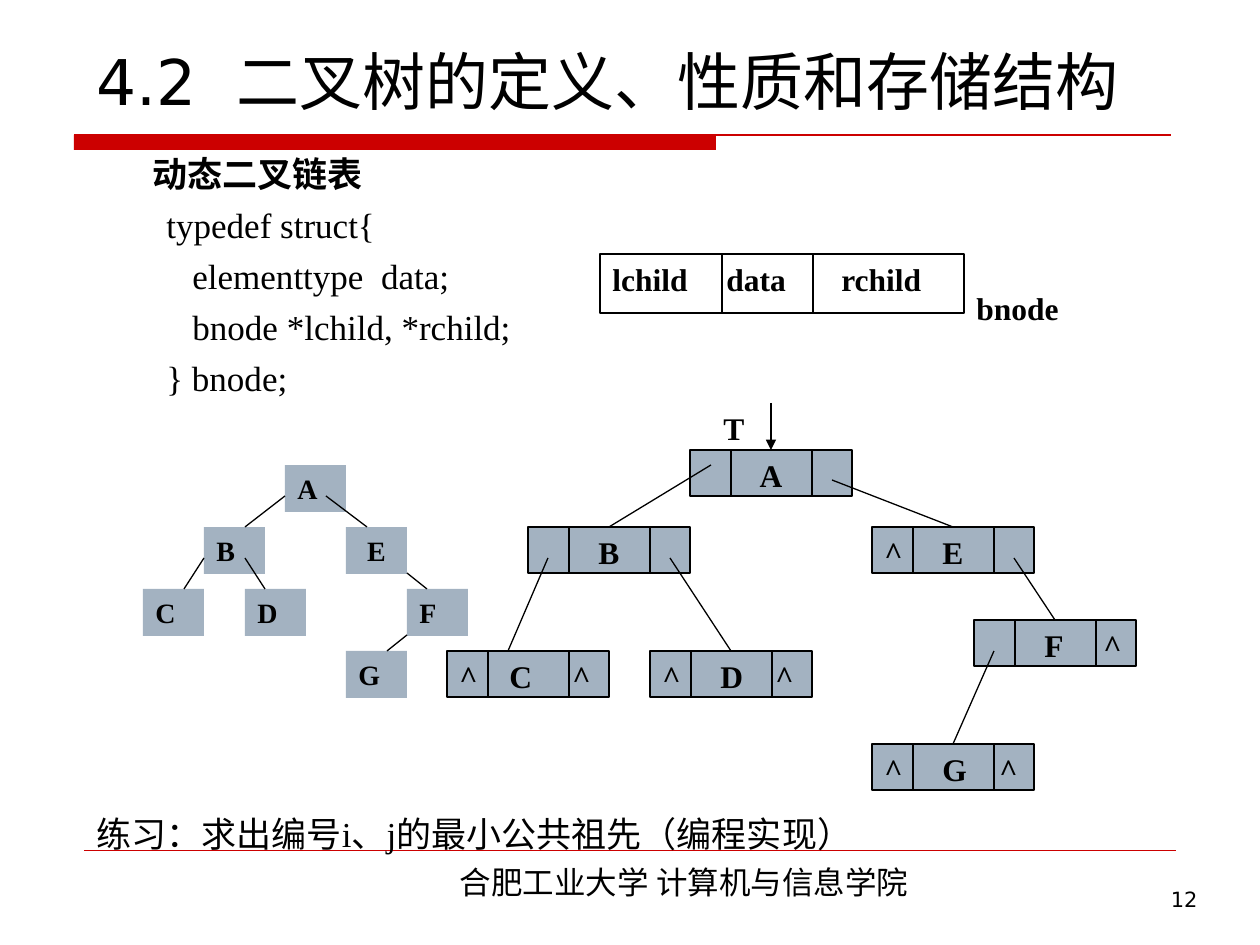
"""Build the slide on binary trees and their linked storage."""
from lxml import etree
from pptx import Presentation
from pptx.dml.color import RGBColor
from pptx.enum.shapes import MSO_CONNECTOR, MSO_SHAPE
from pptx.enum.text import MSO_ANCHOR, MSO_AUTO_SIZE, PP_ALIGN
from pptx.oxml.ns import qn
from pptx.util import Emu, Pt

RECTANGLE = MSO_SHAPE.RECTANGLE
STRAIGHT = MSO_CONNECTOR.STRAIGHT
LEFT, CENTER, RIGHT = PP_ALIGN.LEFT, PP_ALIGN.CENTER, PP_ALIGN.RIGHT
COLORS = {name: RGBColor.from_string(value) for name, value in {
    "red": "CC0000", "node": "A3B2C1", "black": "000000", "white": "FFFFFF"}.items()}
SERIF, SANS, CHINESE = "Times New Roman", "DejaVu Sans", "Noto Sans CJK SC"
SCALE = 914400 / 126


def px(length):
    return Emu(round(length * SCALE))


presentation = Presentation()
presentation.slide_width, presentation.slide_height = px(1260), px(945)
slide = presentation.slides.add_slide(presentation.slide_layouts[5])
shapes = slide.shapes


def add_box(box, text="", fill=None, outline=False, size=18, font=SERIF,
            bold=True, align=LEFT, tabs=()):
    place = [px(length) for length in box]
    if fill:
        shape = shapes.add_shape(RECTANGLE, *place)
        shape.shadow.inherit = False
        shape.fill.solid()
        shape.fill.fore_color.rgb = COLORS[fill]
        if outline:
            shape.line.color.rgb = COLORS["black"]
            shape.line.width = Pt(0.75)
        else:
            shape.line.fill.background()
    else:
        shape = shapes.add_textbox(*place)
    frame = shape.text_frame
    frame.word_wrap = True
    frame.vertical_anchor = MSO_ANCHOR.TOP
    frame.text = text
    for paragraph in frame.paragraphs:
        paragraph.alignment = align
        paragraph.font.size = Pt(size)
        paragraph.font.name = font
        paragraph.font.bold = bold
        paragraph.font.color.rgb = COLORS["black"]
    if tabs:
        properties = frame.paragraphs[0]._p.get_or_add_pPr()
        tab_list = etree.Element(qn("a:tabLst"))
        for position in tabs:
            etree.SubElement(tab_list, qn("a:tab"), pos=str(px(position)), algn="l")
        properties.insert_element_before(tab_list, "a:defRPr", "a:extLst")
    return shape


def add_line(x1, y1, x2, y2, color="black", width=0.75):
    line = shapes.add_connector(STRAIGHT, px(x1), px(y1), px(x2), px(y2))
    line.line.color.rgb = COLORS[color]
    line.line.width = Pt(width)
    etree.SubElement(line._element.spPr, qn("a:effectLst"))
    return line


banner = add_box((74, 135, 642, 15), fill="red")
add_line(74, 135, 1171, 135, "red")
add_line(84, 850, 1176, 850, "red", 0.25)
add_box((302, 857, 764, 50), "合肥工业大学 计算机与信息学院", font=CHINESE, bold=False, align=CENTER)
add_box((937, 880, 273, 65), "12", size=12, font=SANS, bold=False, align=RIGHT)

title = shapes.title
title.left, title.top, title.width, title.height = px(84), px(-44), px(1103), px(168)
title_frame = title.text_frame
title_frame.text = "4.2  二叉树的定义、性质和存储结构"
title_frame.auto_size = MSO_AUTO_SIZE.NONE
title_frame.vertical_anchor = MSO_ANCHOR.BOTTOM
heading = title_frame.paragraphs[0]
heading.alignment = LEFT
heading.font.size = Pt(36)
heading.font.name = SANS
heading.font.color.rgb = COLORS["black"]

code_lines = [
    ("动态二叉链表", 56),
    ("typedef struct{", 70),
    ("elementtype  data;", 96),
    ("bnode *lchild, *rchild;", 96),
    ("} bnode;", 70),
]
code = add_box((84, 137, 500, 270), "\n".join(text for text, _ in code_lines), size=20, bold=False)
exercise = add_box((84, 797, 1101, 62), "练习：求出编号i、j的最小公共祖先（编程实现）", size=20, bold=False)
for paragraph in [*code.text_frame.paragraphs, *exercise.text_frame.paragraphs]:
    paragraph.line_spacing = Pt(29.15)
for paragraph, (_, indent) in zip(code.text_frame.paragraphs, code_lines):
    paragraph._p.get_or_add_pPr().set("marL", str(px(indent)))
code.text_frame.paragraphs[0].font.bold = True

add_box((964, 283, 151, 49), "bnode", "white")
add_box((600, 254, 364, 59), "lchild\tdata\trchild", "white", True, tabs=(114, 229))
for x in (722, 813):
    add_line(x, 254, x, 313)

tree_nodes = {"A": (285, 465), "G": (346, 651), "F": (407, 589), "E": (346, 527),
              "D": (245, 589), "C": (143, 589), "B": (204, 527)}
for name, (left, top) in tree_nodes.items():
    add_box((left, top, 61, 47), name, "node", size=16, align=CENTER if name == "E" else LEFT)
tree_edges = [
    (285, 496, 245, 527), (326, 496, 367, 527), (204, 558, 184, 589),
    (245, 558, 265, 589), (407, 573, 427, 589), (407, 635, 387, 651),
]
for edge in tree_edges:
    add_line(*edge)

linked_nodes = [
    ("A", 690, 450, "A", ()),
    ("B", 528, 527, "B", ()),
    ("E", 872, 527, "^\tE", (58,)),
    ("C", 447, 651, "^\tC\t^", (50, 113)),
    ("D", 650, 651, "^\tD\t^", (58, 113)),
    ("F", 974, 620, "\tF\t^", (58, 117)),
    ("G", 872, 744, "^\tG\t^", (58, 115)),
]
linked = {}
for name, left, top, text, tabs in linked_nodes:
    linked[name] = add_box((left, top, 162, 46), text, "node", True,
                           align=LEFT if tabs else CENTER, tabs=tabs)
    for offset in (41, 122):
        add_line(left + offset, top, left + offset, top + 46)

links = [
    ("B", (711, 465, 609, 527)), ("D", (670, 558, 731, 651)),
    ("E", (832, 480, 953, 527)), ("F", (1014, 558, 1055, 620)),
    ("G", (994, 651, 953, 744)), ("A", (771, 403, 771, 450)),
]
add_line(548, 558, 508, 651)
for name, ends in links:
    link = add_line(*ends)
    link.end_connect(linked[name], 0)
etree.SubElement(link.line._get_or_add_ln(), qn("a:tailEnd"), type="triangle")
add_box((711, 403, 49, 39), "T", "white")

presentation.save("out.pptx")
